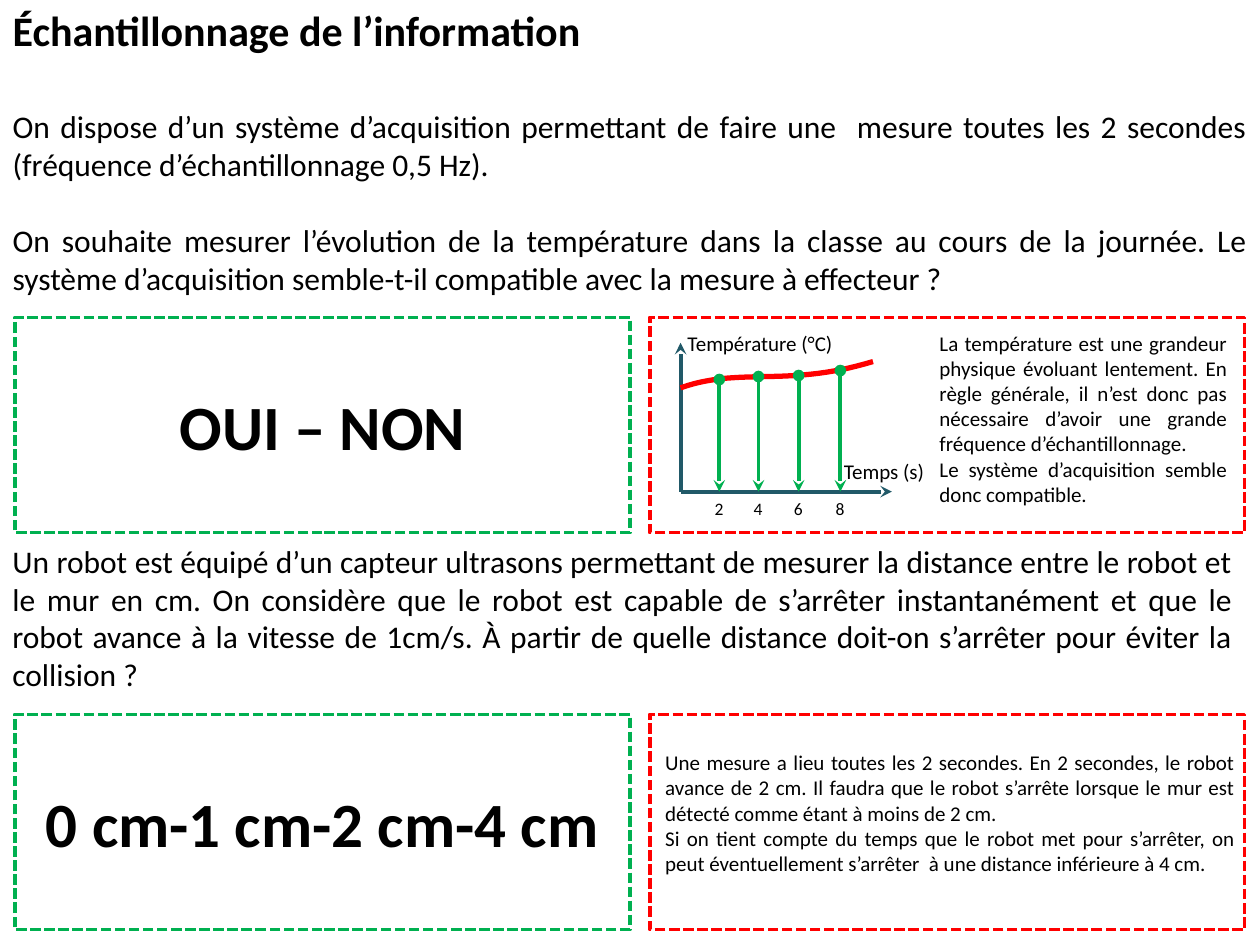
"""Build a slide on sampling a temperature and a robot's distance to a wall."""
from pptx import Presentation, util as u
from pptx.dml.color import RGBColor
from pptx.enum import dml, shapes, text
from pptx.oxml.ns import qn
from lxml import etree

BLACK = RGBColor(0x00, 0x00, 0x00)
GREEN = RGBColor(0x00, 0xB0, 0x50)
RED = RGBColor(0xFF, 0x00, 0x00)
TEAL = RGBColor(0x21, 0x59, 0x68)
LEFT, CENTER, JUSTIFY = text.PP_ALIGN.LEFT, text.PP_ALIGN.CENTER, text.PP_ALIGN.JUSTIFY

TITLE = "Échantillonnage de l’information"
INTRO = [
    "On dispose d’un système d’acquisition permettant de faire une  mesure toutes les 2 secondes "
    "(fréquence d’échantillonnage 0,5 Hz).",
    "On souhaite mesurer l’évolution de la température dans la classe au cours de la journée. Le "
    "système d’acquisition semble-t-il compatible avec la mesure à effecteur ?",
]
ROBOT = [
    "Un robot est équipé d’un capteur ultrasons permettant de mesurer la distance entre le robot et "
    "le mur en cm. On considère que le robot est capable de s’arrêter instantanément et que le "
    "robot avance à la vitesse de 1cm/s. À partir de quelle distance doit-on s’arrêter pour éviter la "
    "collision ?",
]
TEMPERATURE_ANSWER = [
    "La température est une grandeur physique évoluant lentement. En règle générale, il n’est donc "
    "pas nécessaire d’avoir une grande fréquence d’échantillonnage.",
    "Le système d’acquisition semble donc compatible.",
]
ROBOT_ANSWER = [
    "Une mesure a lieu toutes les 2 secondes. En 2 secondes, le robot avance de 2 cm. Il faudra que "
    "le robot s’arrête lorsque le mur est détecté comme étant à moins de 2 cm.",
    "Si on tient compte du temps que le robot met pour s’arrêter, on peut éventuellement "
    "s’arrêter  à une distance inférieure à 4 cm.",
]
CHOICES = [("OUI – NON", 6.4), ("0 cm-1 cm-2 cm-4 cm", 14.4)]
ORIGIN = (13.72, 9.91)
AXIS_ENDS = [(13.72, 6.91), (17.98, 9.91)]
AXIS_LABELS = [("Temps (s)", 16.76, 9.12, 2.16), ("Température (°C)", 13.61, 6.53, 3.45)]
CURVE = [(13.72, 7.82), (14.94, 7.39), (15.85, 7.82), (17.6, 7.29)]
SAMPLES = [("2", 14.5, 7.65), ("4", 15.29, 7.59), ("6", 16.1, 7.57), ("8", 16.94, 7.47)]
CURVE_STEPS = 30
LABEL_SIZE = 0.69


def write(frame, lines, size, align=JUSTIFY, bold=False, gap=0):
    for index, line in enumerate(lines):
        paragraph = frame.paragraphs[0] if index == 0 else frame.add_paragraph()
        paragraph.alignment = align
        paragraph.space_before = u.Pt(gap if index else 0)
        run = paragraph.add_run()
        run.text = line
        run.font.name, run.font.size, run.font.bold = "Calibri", u.Pt(size), bold
        run.font.color.rgb = BLACK


def place(shape, *box):
    shape.left, shape.top, shape.width, shape.height = map(u.Cm, box)


def add_text(parent, lines, box, size, wrap=True, align=JUSTIFY):
    frame = parent.add_textbox(*map(u.Cm, box)).text_frame
    frame.word_wrap = wrap
    write(frame, lines, size, align)


def add_frame(slide, box, color):
    shape = slide.shapes.add_shape(shapes.MSO_SHAPE.RECTANGLE, *map(u.Cm, box))
    shape.shadow.inherit = False
    shape.fill.background()
    shape.line.color.rgb = color
    shape.line.width = u.Pt(2)
    shape.line.dash_style = dml.MSO_LINE.SQUARE_DOT
    return shape


def add_arrow(parent, start, end, color, head=None):
    arrow = parent.add_connector(shapes.MSO_CONNECTOR.STRAIGHT, *map(u.Cm, start + end))
    arrow.line.color.rgb = color
    arrow.line.width = u.Pt(2.25)
    properties = arrow._element.spPr
    line = properties.find(qn("a:ln"))
    if head:
        etree.SubElement(line, qn("a:headEnd"), type=head)
    etree.SubElement(line, qn("a:tailEnd"), type="stealth")
    etree.SubElement(properties, qn("a:effectLst"))


def curve_point(t):
    weights = ((1 - t) ** 3, 3 * t * (1 - t) ** 2, 3 * t ** 2 * (1 - t), t ** 3)
    return tuple(u.Cm(sum(w * point[axis] for w, point in zip(weights, CURVE))) for axis in (0, 1))


def add_graph(slide):
    graph = slide.shapes.add_group_shape().shapes
    for end in AXIS_ENDS:
        add_arrow(graph, ORIGIN, end, TEAL)
    points = [curve_point(step / CURVE_STEPS) for step in range(CURVE_STEPS + 1)]
    builder = graph.build_freeform(*points[0])
    builder.add_line_segments(points[1:], close=False)
    curve = builder.convert_to_shape()
    curve.shadow.inherit = False
    curve.fill.background()
    curve.line.color.rgb = RED
    curve.line.width = u.Pt(3)
    for label, left, top, width in AXIS_LABELS:
        add_text(graph, [label], (left, top, width, 0.76), 12, False, LEFT)
    for label, x, top in SAMPLES:
        add_arrow(graph, (x, top), (x, ORIGIN[1]), GREEN, "oval")
        box = (x - LABEL_SIZE / 2, ORIGIN[1], LABEL_SIZE, LABEL_SIZE)
        add_text(graph, [label], box, 10, False, LEFT)


def main():
    presentation = Presentation()
    presentation.slide_width, presentation.slide_height = u.Cm(25.4), u.Cm(19.05)
    slide = presentation.slides.add_slide(presentation.slide_layouts[1])
    title, body = slide.placeholders
    place(title, 0, -0.03, 25.4, 1.27)
    title.text_frame.vertical_anchor = text.MSO_ANCHOR.TOP
    write(title.text_frame, [TITLE], 24, bold=True)
    place(body, 0, 2.03, 25.4, 4.11)
    write(body.text_frame, INTRO, 18, gap=22)
    for paragraph in body.text_frame.paragraphs:
        properties = paragraph._p.get_or_add_pPr()
        properties.set("marL", "0")
        properties.set("indent", "0")
        etree.SubElement(properties, qn("a:buNone"))

    for choice, top in CHOICES:
        frame = add_frame(slide, (0.3, top, 12.4, 4.34), GREEN).text_frame
        frame.vertical_anchor = text.MSO_ANCHOR.MIDDLE
        write(frame, [choice], 36, CENTER, bold=True)
        add_frame(slide, (13.1, top, 11.99, 4.34), RED)
    add_graph(slide)
    add_text(slide.shapes, TEMPERATURE_ANSWER, (18.69, 6.53, 6.3, 3.84), 12)
    add_text(slide.shapes, ROBOT, (0, 10.8, 25.1, 3.33), 18)
    add_text(slide.shapes, ROBOT_ANSWER, (13.16, 14.99, 11.99, 2.82), 12)
    presentation.save("out.pptx")


if __name__ == "__main__":
    main()
